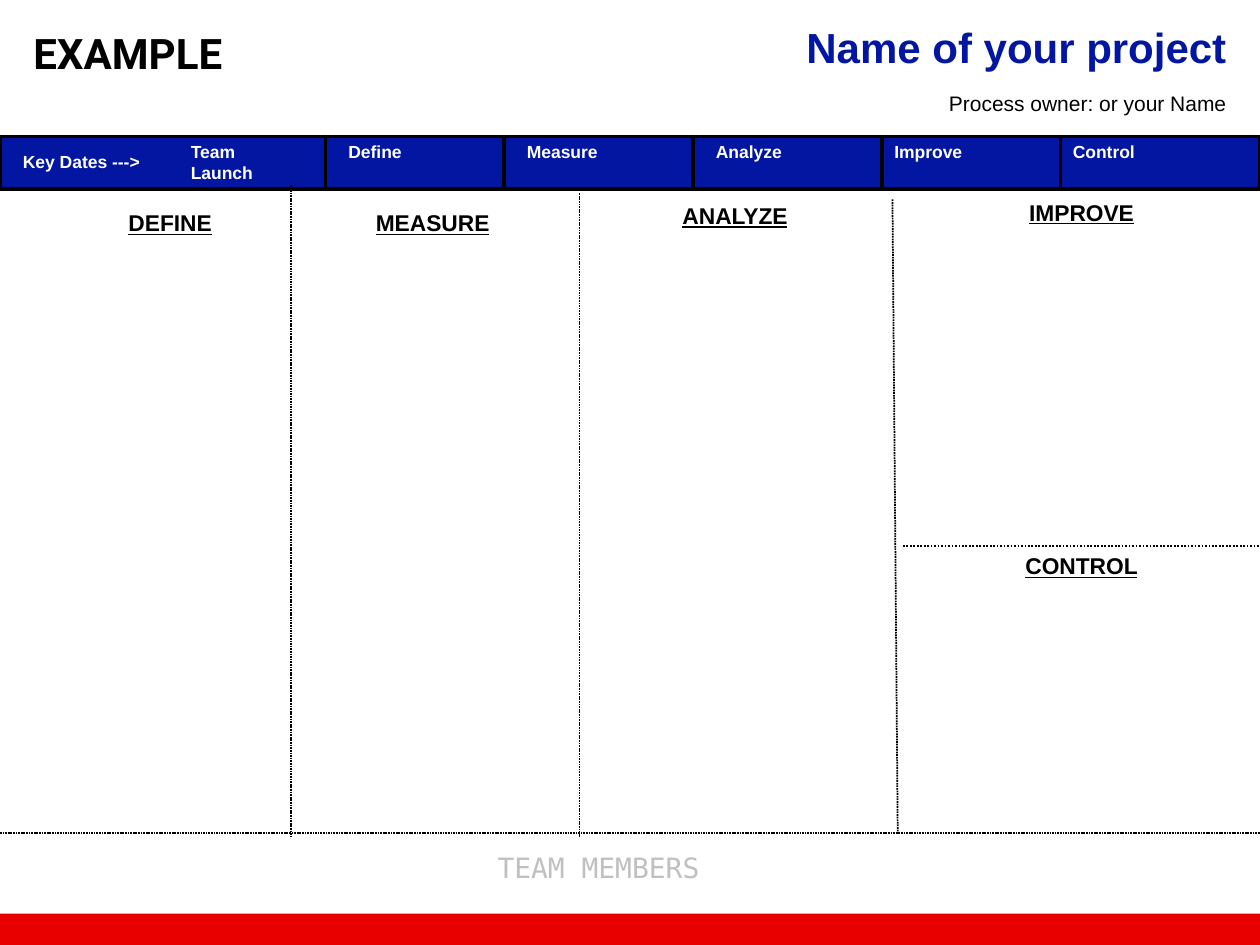
from pptx import Presentation
from pptx.dml.color import RGBColor
from pptx.enum.dml import MSO_LINE
from pptx.enum.shapes import MSO_CONNECTOR, MSO_SHAPE
from pptx.enum.text import MSO_ANCHOR, MSO_AUTO_SIZE, PP_ALIGN
from pptx.oxml.ns import qn
from pptx.util import Inches, Pt
from lxml import etree

LEFT, CENTER, RIGHT = PP_ALIGN.LEFT, PP_ALIGN.CENTER, PP_ALIGN.RIGHT
DOTTED, SOLID, FINE = MSO_LINE.ROUND_DOT, MSO_LINE.SOLID, "fine dots"
COLORS = {"blue": "0316A1", "red": "E80000", "black": "000000",
          "white": "FFFFFF", "gray": "C0C0C0"}
C = {name: RGBColor.from_string(value) for name, value in COLORS.items()}

prs = Presentation()
prs.slide_width, prs.slide_height = Inches(10), Inches(7.5)
COL = prs.slide_width / 120
ROW = prs.slide_height / 90
s = prs.slides.add_slide(prs.slide_layouts[5])


def put_text(sp, lines, size, color, align=LEFT, bold=True, underline=False,
             font="Arial"):
    tf = sp.text_frame
    tf.word_wrap = True
    tf.auto_size = MSO_AUTO_SIZE.SHAPE_TO_FIT_TEXT
    tf.vertical_anchor = MSO_ANCHOR.TOP
    for i, line in enumerate(lines):
        p = tf.add_paragraph() if i else tf.paragraphs[0]
        p.alignment = align
        r = p.add_run()
        r.text = line
        r.font.name, r.font.size = font, Pt(size)
        r.font.bold, r.font.underline = bold, underline
        r.font.color.rgb = C[color]


def grid(*cells):
    return [round(n * (ROW if i % 2 else COL)) for i, n in enumerate(cells)]


title = s.shapes.title
title.left, title.top, title.width, title.height = grid(25.7, 1.4, 92.3, 6)
put_text(title, ["Name of your project"], 24, "blue", RIGHT)

for cells, color, outlined in [((0, 87, 120, 3), "red", False),
                               ((0, 13, 120, 5), "blue", True)]:
    sp = s.shapes.add_shape(MSO_SHAPE.RECTANGLE, *grid(*cells))
    sp.shadow.inherit = False
    sp.fill.solid()
    sp.fill.fore_color.rgb = C[color]
    if outlined:
        sp.line.color.rgb = C["black"]
        sp.line.width = Pt(2)
    else:
        sp.line.fill.background()

lines = [((x, 13, x, 18), 2, SOLID) for x in (31, 48, 66, 84, 101)]
lines += [(cells, 1, FINE) for cells in [
    (27.7, 17.6, 27.7, 79.7),
    (55.2, 18.4, 55.2, 79.7),
    (85, 19, 85.5, 79.3),
    (0, 79.3, 120, 79.3),
]]
lines.append(((86, 52, 120, 52), 1, DOTTED))
for cells, width, dash in lines:
    line = s.shapes.add_connector(MSO_CONNECTOR.STRAIGHT, *grid(*cells))
    line.line.color.rgb = C["black"]
    line.line.width = Pt(width)
    if dash == FINE:
        pattern = etree.SubElement(line.line._ln, qn("a:custDash"))
        etree.SubElement(pattern, qn("a:ds"), d="100000", sp="50000")
    else:
        line.line.dash_style = dash
    etree.SubElement(line._element.spPr, qn("a:effectLst"))

for label, x, y, w, h in [
    (["Key Dates --->"], 1, 13.8, 15.5, 3.2),
    (["Team", "Launch"], 17, 12.8, 11, 5.2),
    (["Define"], 32, 12.8, 11, 5.2),
    (["Measure"], 49, 12.8, 11, 5.2),
    (["Analyze"], 67, 12.8, 11, 5.2),
    (["Improve"], 84, 12.8, 11, 5.2),
    (["Control"], 101, 12.8, 11, 5.2),
]:
    sp = s.shapes.add_textbox(*grid(x, y, w, h))
    put_text(sp, label, 10, "white")

for heading, x, y, w in [("DEFINE", 6.7, 19.3, 19), ("MEASURE", 32.2, 19.3, 18),
                         ("ANALYZE", 61, 18.6, 18), ("IMPROVE", 94, 18.3, 18),
                         ("CONTROL", 94, 52, 18)]:
    sp = s.shapes.add_textbox(*grid(x, y, w, 3.7))
    put_text(sp, [heading], 13, "black", CENTER, underline=True)

example = s.shapes.add_textbox(*grid(2, 2, 26, 6))
put_text(example, ["EXAMPLE"], 24, "black", font="Roboto")

owner = s.shapes.add_textbox(*grid(51.9, 8, 66.1, 3.6))
put_text(owner, ["Process owner: or your Name"], 12, "black", RIGHT, bold=False)

team = s.shapes.add_textbox(*grid(2, 80.4, 110, 4.7))
put_text(team, ["TEAM MEMBERS"], 16, "gray", CENTER, bold=False,
         font="DejaVu Sans Mono")

prs.save("out.pptx")
